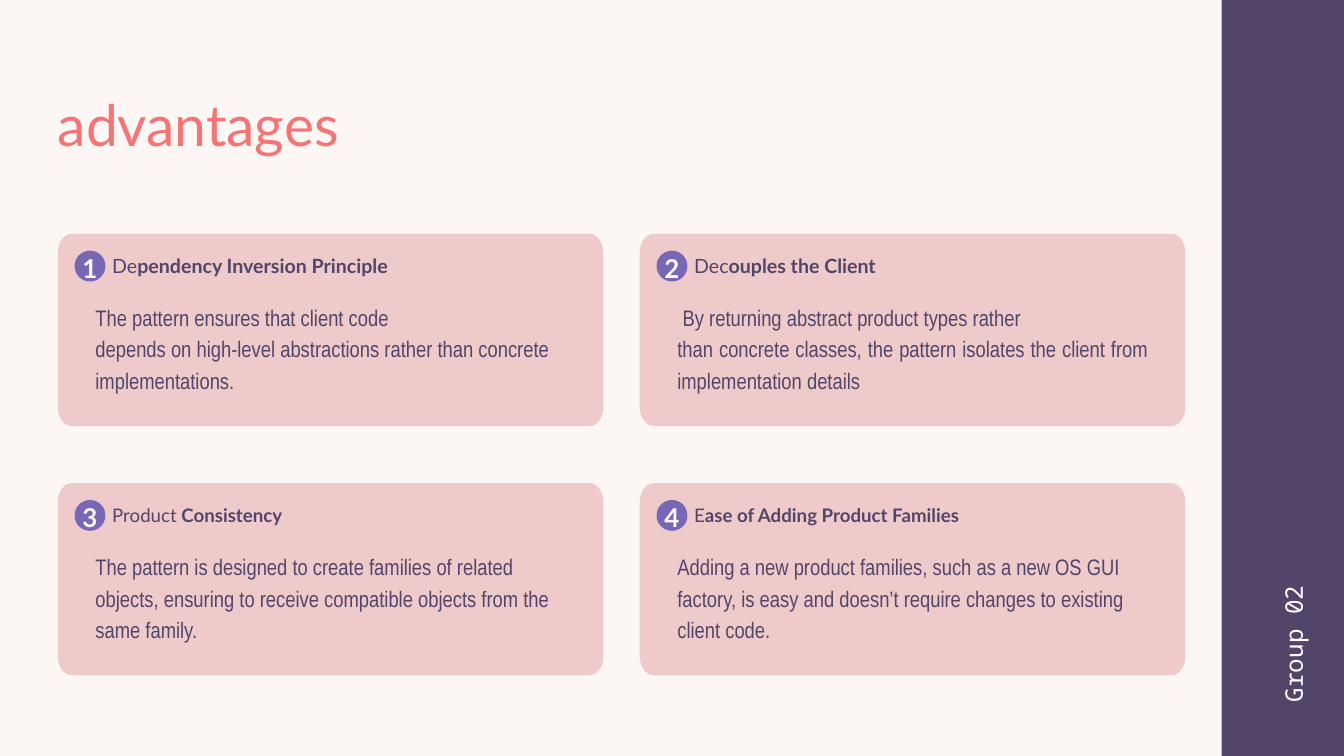
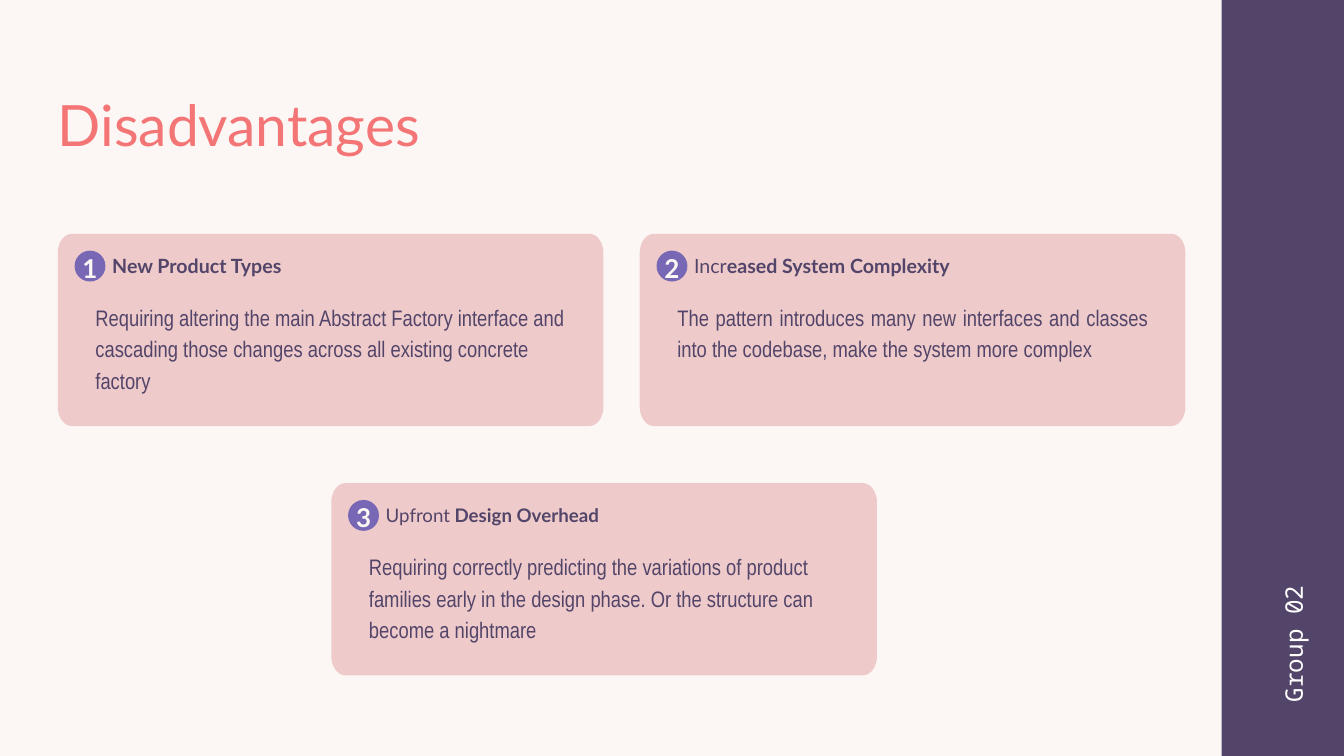
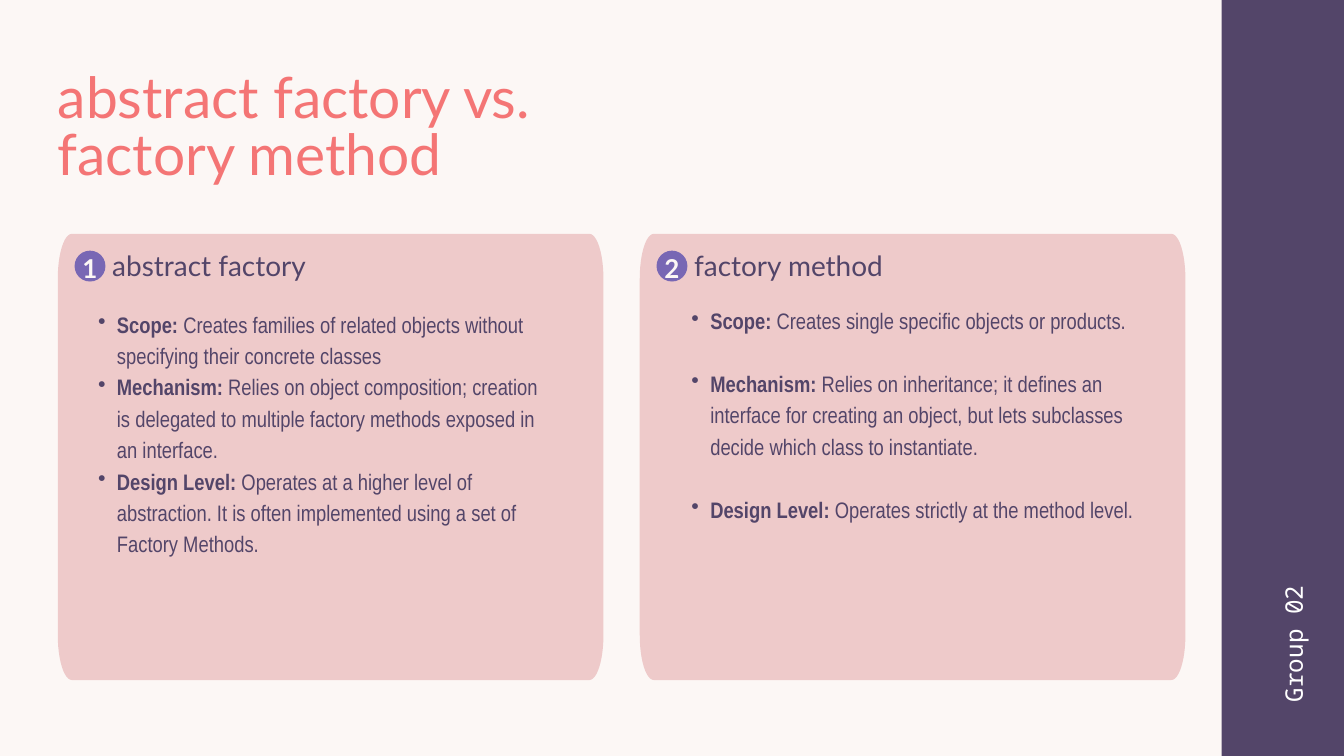
from math import cos, pi, sin

from lxml.etree import SubElement
from pptx import Presentation
from pptx.dml.color import RGBColor
from pptx.enum.shapes import MSO_SHAPE
from pptx.enum.text import PP_ALIGN
from pptx.oxml.ns import qn
from pptx.util import Inches, Pt

SLIDE_WIDTH, SLIDE_HEIGHT = 20, 11.25
CREAM, CORAL, PINK = "FCF7F5", "F47575", "EECACA"
PLUM, VIOLET, WHITE = "534569", "7867B4", "FFFFFF"
HEADING_FONT, BODY_FONT, FOOTER_FONT = "Lato", "Arial Narrow", "Noto Sans Mono"

MARGIN, GRID_TOP = 0.86, 3.48
COLUMN_STEP, ROW_STEP = 8.66, 3.71
CARD_WIDTH, CARD_HEIGHT, TALL_CARD_HEIGHT = 8.12, 2.86, 6.64
CORNER_WIDTH, CORNER_SHARE = 0.21, 0.1
BADGE_SIZE, BADGE_INSET = 0.46, 0.25
HEADING_LEFT, HEADING_MIDDLE = 0.81, 0.47
BODY_LEFT, BODY_TOP, BODY_WIDTH = 0.56, 0.98, 7
BAND_LEFT = 18.18


def color(value):
    return RGBColor.from_string(value)


def paint(shape, fill):
    shape.fill.solid()
    shape.fill.fore_color.rgb = color(fill)
    shape.line.fill.background()
    shape.shadow.inherit = False


def set_indent(paragraph, margin, first_line, bullet=None):
    properties = paragraph._p.get_or_add_pPr()
    properties.set("marL", str(Inches(margin)))
    properties.set("indent", str(Inches(first_line)))
    if bullet:
        SubElement(properties, qn("a:buChar")).set("char", bullet)


def add_runs(paragraph, marked_text, font, size, fill, bold):
    """Text between asterisks is bold."""
    for index, part in enumerate(marked_text.split("*")):
        if part:
            run = paragraph.add_run()
            run.text = part
            run.font.name = font
            run.font.size = Pt(size)
            run.font.bold = bold or index % 2 == 1
            run.font.color.rgb = color(fill)


def add_text(slide, paragraphs, left, top, width, height, *, font=BODY_FONT, size=24,
             fill=PLUM, spacing=33.6, bold=False, alignments=(), first_line=0,
             bullet=None, gap=0, rotation=0):
    box = slide.shapes.add_textbox(Inches(left), Inches(top), Inches(width), Inches(height))
    box.rotation = rotation
    frame = box.text_frame
    frame.word_wrap = True
    frame.margin_left = frame.margin_right = frame.margin_top = frame.margin_bottom = 0
    for index, marked_text in enumerate(paragraphs):
        paragraph = frame.add_paragraph() if index else frame.paragraphs[0]
        if bullet:
            paragraph.level = 1
            set_indent(paragraph, 0.57, -0.28, bullet)
        elif first_line and not index:
            set_indent(paragraph, 0, first_line)
        paragraph.alignment = alignments[index] if alignments else PP_ALIGN.LEFT
        paragraph.line_spacing = Pt(spacing)
        if index and gap:
            paragraph.space_before = Pt(gap)
        add_runs(paragraph, marked_text, font, size, fill, bold)
    return box


def add_panel(slide, left, top, height):
    radius_x, radius_y = CORNER_WIDTH, CORNER_SHARE * height
    right, bottom = left + CARD_WIDTH, top + height
    centers = [
        (right - radius_x, bottom - radius_y),
        (left + radius_x, bottom - radius_y),
        (left + radius_x, top + radius_y),
        (right - radius_x, top + radius_y),
    ]
    points = []
    for quarter, (center_x, center_y) in enumerate(centers):
        for step in range(13):
            angle = (quarter + step / 12) * pi / 2
            points.append((Inches(center_x + radius_x * cos(angle)),
                           Inches(center_y + radius_y * sin(angle))))
    builder = slide.shapes.build_freeform(*points[0])
    builder.add_line_segments(points[1:], close=True)
    paint(builder.convert_to_shape(), PINK)


def add_badge(slide, number, left, top):
    circle = slide.shapes.add_shape(MSO_SHAPE.OVAL, Inches(left), Inches(top),
                                    Inches(BADGE_SIZE), Inches(BADGE_SIZE))
    paint(circle, VIOLET)
    add_text(slide, [str(number)], left, top - 0.05, BADGE_SIZE, 0.51, font=HEADING_FONT,
             size=27.8, fill=CREAM, spacing=39, bold=True, alignments=[PP_ALIGN.CENTER])


def add_card(slide, number, heading, body, column, row=0, *, height=CARD_HEIGHT,
             heading_size=21, body_left=BODY_LEFT, body_top=BODY_TOP, body_height=1.35,
             **body_format):
    left, top = MARGIN + column * COLUMN_STEP, GRID_TOP + row * ROW_STEP
    add_panel(slide, left, top, height)
    add_badge(slide, number, left + BADGE_INSET, top + BADGE_INSET)
    heading_spacing = heading_size * 1.2
    heading_height = heading_spacing / 72
    add_text(slide, [heading], left + HEADING_LEFT, top + HEADING_MIDDLE - heading_height / 2,
             7.13, heading_height, font=HEADING_FONT, size=heading_size,
             spacing=heading_spacing)
    add_text(slide, body, left + body_left, top + body_top, BODY_WIDTH, body_height,
             **body_format)


def add_page(presentation, *title_lines):
    slide = presentation.slides.add_slide(presentation.slide_layouts[6])
    slide.background.fill.solid()
    slide.background.fill.fore_color.rgb = color(CREAM)
    title_height = 0.84 * len(title_lines) + 0.05
    add_text(slide, title_lines, MARGIN, 1.95 - title_height / 2, 14.58, title_height,
             font=HEADING_FONT, size=61, fill=CORAL, spacing=61)
    band = slide.shapes.add_shape(MSO_SHAPE.RECTANGLE, Inches(BAND_LEFT), 0,
                                  Inches(SLIDE_WIDTH - BAND_LEFT), Inches(SLIDE_HEIGHT))
    paint(band, PLUM)
    add_text(slide, ["Group 02"], 18.3, 9.31, 1.83, 0.45, font=FOOTER_FONT, size=26,
             fill=WHITE, spacing=33.8, rotation=270)
    return slide


def add_advantages(presentation):
    slide = add_page(presentation, "advantages")
    add_card(slide, 1, "De*pendency Inversion Principle*", [
        "The pattern ensures that client code",
        "depends on high-level abstractions rather than concrete implementations.",
    ], 0)
    add_card(slide, 2, "Dec*ouples the Client*", [
        "By returning abstract product types rather",
        "than concrete classes, the pattern isolates the client from implementation details",
    ], 1, first_line=0.08, alignments=[PP_ALIGN.LEFT, PP_ALIGN.JUSTIFY])
    add_card(slide, 3, "Product* Consistency*", [
        "The pattern is designed to create families of related objects, ensuring to receive "
        "compatible objects from the same family.",
    ], 0, 1, heading_size=20)
    add_card(slide, 4, "E*ase of Adding Product Families*", [
        "Adding a new product families, such as a new OS GUI factory, is easy and doesn’t "
        "require changes to existing client code.",
    ], 1, 1, heading_size=20)


def add_disadvantages(presentation):
    slide = add_page(presentation, "Disadvantages")
    add_card(slide, 1, "*New Product Types*", [
        "Requiring altering the main Abstract Factory interface and cascading those changes "
        "across all existing concrete factory",
    ], 0)
    add_card(slide, 2, "Incr*eased System Complexity*", [
        "The pattern introduces many new interfaces and classes into the codebase, make the "
        "system more complex",
    ], 1, alignments=[PP_ALIGN.JUSTIFY])
    add_card(slide, 3, "Upfront* Design Overhead*", [
        "Requiring correctly predicting the variations of product families early in the design "
        "phase. Or the structure can become a nightmare",
    ], 0.47, 1, heading_size=20)


def add_comparison(presentation):
    slide = add_page(presentation, "abstract factory vs.", "factory method")
    list_card = {"height": TALL_CARD_HEIGHT, "heading_size": 30, "body_height": 5.03,
                 "bullet": "•"}
    add_card(slide, 1, "abstract factory", [
        "*Scope: *Creates families of related objects without specifying their concrete classes",
        "*Mechanism: *Relies on object composition; creation is delegated to multiple factory "
        "methods exposed in an interface.",
        "*Design Level: *Operates at a higher level of abstraction. It is often implemented "
        "using a set of Factory Methods.",
    ], 0, body_left=0.31, body_top=1.08, **list_card)
    add_card(slide, 2, "factory method", [
        "*Scope:* Creates single specific objects or products.",
        "*Mechanism:* Relies on inheritance; it defines an interface for creating an object, "
        "but lets subclasses decide which class to instantiate.",
        "*Design Level:* Operates strictly at the method level.",
    ], 1, body_left=0.48, body_top=1.03, gap=33.6, **list_card)


def main():
    presentation = Presentation()
    presentation.slide_width = Inches(SLIDE_WIDTH)
    presentation.slide_height = Inches(SLIDE_HEIGHT)
    add_advantages(presentation)
    add_disadvantages(presentation)
    add_comparison(presentation)
    presentation.save("out.pptx")


if __name__ == "__main__":
    main()
